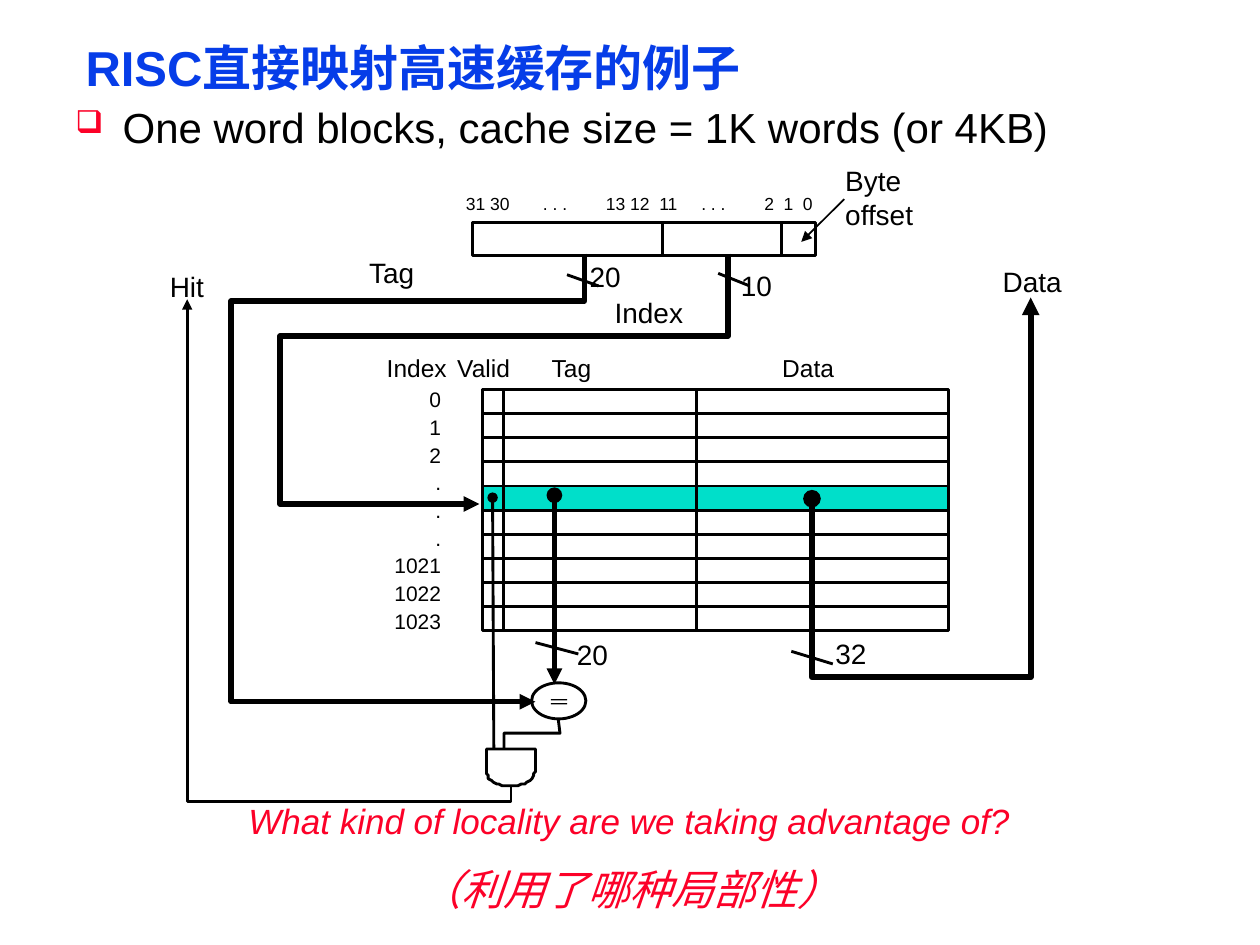
from math import cos, pi, sin

from lxml.etree import SubElement
from pptx import Presentation
from pptx.dml.color import RGBColor
from pptx.enum.shapes import MSO_CONNECTOR, MSO_SHAPE
from pptx.enum.text import MSO_ANCHOR, MSO_AUTO_SIZE, PP_ALIGN
from pptx.oxml.ns import qn
from pptx.util import Pt

BLACK = RGBColor(0x00, 0x00, 0x00)
BLUE = RGBColor(0x06, 0x3D, 0xE8)
RED = RGBColor(0xFC, 0x01, 0x28)
TEAL = RGBColor(0x00, 0xDF, 0xCA)
THIN = 1.63
THICK = 3

CACHE_LEFT, CACHE_TOP = 275.8, 222.5
CACHE_WIDTH, ROW_HEIGHT, ROW_COUNT = 266.4, 13.8, 10
SELECTED_ROW = 4


def add_text(slide, box, paragraphs, size, color=BLACK, wrap=False, grow=True,
             align=PP_ALIGN.LEFT, spacing=None, bold=False, italic=False):
    frame = slide.shapes.add_textbox(*map(Pt, box)).text_frame
    frame.word_wrap = wrap
    frame.auto_size = MSO_AUTO_SIZE.SHAPE_TO_FIT_TEXT if grow else MSO_AUTO_SIZE.NONE
    for position, content in enumerate(paragraphs):
        paragraph = frame.add_paragraph() if position else frame.paragraphs[0]
        paragraph.alignment = align
        paragraph.line_spacing = spacing
        run = paragraph.add_run()
        run.text = content
        font = run.font
        font.name, font.size = "Arial", Pt(size)
        font.bold, font.italic = bold, italic
        font.color.rgb = color
    return frame


def add_label(slide, left, top, content, width, size=16):
    add_text(slide, (left, top, width, size * 1.2 + 7.2), [content], size)


def style_line(line, width, head=None, tail=None):
    line.color.rgb = BLACK
    line.width = Pt(width)
    outline = line._get_or_add_ln()
    for tag, kind in (("a:headEnd", head), ("a:tailEnd", tail)):
        if kind:
            SubElement(outline, qn(tag), type=kind)


def add_line(slide, start, end, width=THIN, head=None, tail=None):
    connector = slide.shapes.add_connector(
        MSO_CONNECTOR.STRAIGHT, *map(Pt, (*start, *end)))
    style_line(connector.line, width, head, tail)
    SubElement(connector._element.spPr, qn("a:effectLst"))


def add_outline(slide, points, width=THIN, head=None, tail=None, closed=False):
    builder = slide.shapes.build_freeform(*points[0], scale=Pt(1))
    builder.add_line_segments(points[1:], close=closed)
    outline = builder.convert_to_shape()
    outline.shadow.inherit = False
    outline.fill.background()
    style_line(outline.line, width, head, tail)


def add_block(slide, kind, box, fill=None, border=None):
    block = slide.shapes.add_shape(kind, *map(Pt, box))
    block.shadow.inherit = False
    if fill is None:
        block.fill.background()
    else:
        block.fill.solid()
        block.fill.fore_color.rgb = fill
    if border:
        style_line(block.line, border)
    else:
        block.line.fill.background()


def add_headings(slide):
    title = add_text(slide, (41.8, 22.3, 642, 36.7), ["RISC直接映射高速缓存的例子"],
                     28, BLUE, wrap=True, grow=False, spacing=0.87, bold=True)
    title.vertical_anchor = MSO_ANCHOR.MIDDLE

    body = add_text(slide, (36, 59.8, 635.8, 53.3),
                    ["One word blocks, cache size = 1K words (or 4KB)"],
                    24, wrap=True, grow=False, spacing=0.8)
    properties = body.paragraphs[0]._p.get_or_add_pPr()
    properties.set("marL", str(Pt(27)))
    properties.set("indent", str(Pt(-27)))
    bullet_color = SubElement(properties, qn("a:buClr"))
    SubElement(bullet_color, qn("a:srgbClr"), val=str(RED))
    SubElement(properties, qn("a:buSzPct"), val="75000")
    SubElement(properties, qn("a:buChar"), char="❑")


def add_question(slide):
    question = add_text(slide, (41.8, 455.8, 635.8, 90),
                        ["What kind of locality are we taking advantage of?",
                         "（利用了哪种局部性）"],
                        20, RED, wrap=True, grow=False, align=PP_ALIGN.CENTER,
                        spacing=0.9, italic=True)
    translation = question.paragraphs[1]
    translation.space_before = Pt(16)
    translation.runs[0].font.size = Pt(24)


def add_address(slide):
    add_block(slide, MSO_SHAPE.RECTANGLE, (270, 126.9, 196.2, 18.9), border=THIN)
    for divider in (378.4, 446.4):
        add_line(slide, (divider, 126.9), (divider, 145.8))
    bits = add_text(slide, (259.2, 106.6, 223.2, 19.4),
                    ["31 30\t. . .\t13 12\t11\t. . .\t2\t1\t0"], 10, wrap=True)
    tabs = SubElement(bits.paragraphs[0]._p.get_or_add_pPr(), qn("a:tabLst"))
    for stop in (44, 80, 110.5, 134.5, 170.5, 181.5, 192.5):
        SubElement(tabs, qn("a:tab"), pos=str(Pt(stop)), algn="l")
    add_text(slide, (475.9, 90, 66.2, 46), ["Byte offset"], 16, wrap=True)
    add_line(slide, (482.4, 113.8), (457.9, 138.2), 1, tail="triangle")


def add_cache(slide):
    right = CACHE_LEFT + CACHE_WIDTH
    bottom = CACHE_TOP + ROW_COUNT * ROW_HEIGHT
    add_block(slide, MSO_SHAPE.RECTANGLE,
              (CACHE_LEFT, CACHE_TOP + SELECTED_ROW * ROW_HEIGHT,
               CACHE_WIDTH, ROW_HEIGHT), fill=TEAL)
    add_block(slide, MSO_SHAPE.RECTANGLE,
              (CACHE_LEFT, CACHE_TOP, CACHE_WIDTH, bottom - CACHE_TOP), border=THIN)
    for row in range(1, ROW_COUNT):
        y = CACHE_TOP + row * ROW_HEIGHT
        add_line(slide, (CACHE_LEFT, y), (right, y))
    for divider in (287.6, 398.2):
        add_line(slide, (divider, CACHE_TOP), (divider, bottom))

    for left, heading, width in ((213.9, "Index", 48.6), (254.2, "Valid", 45.4),
                                 (308.2, "Tag", 38.2), (439.9, "Data", 43.9)):
        add_label(slide, left, 198, heading, width, 14)
    add_text(slide, (218.2, 216, 41, 150.5),
             ["0", "1", "2", ".", ".", ".", "1021", "1022", "1023"],
             12, align=PP_ALIGN.RIGHT, spacing=1.1)


def add_wiring(slide):
    add_outline(slide, [(334.4, 144.7), (334.4, 172.1), (131.8, 172.1),
                        (131.8, 401), (306, 401)], THICK, tail="triangle")
    add_outline(slide, [(416.2, 145.4), (416.2, 191.5), (159.8, 191.5),
                        (159.8, 288), (274.3, 288)], THICK, tail="triangle")
    add_outline(slide, [(464.4, 285.1), (464.4, 387.4), (589, 387.4),
                        (589, 169.9)], 3.38, head="oval", tail="triangle")
    add_line(slide, (316.8, 283), (316.8, 391), THICK, "oval", "triangle")
    add_line(slide, (281.5, 284.4), (282.2, 427.7), head="oval")
    for start, end in (((324, 157), (342, 163.4)), ((410.4, 156.2), (428.4, 163.4)),
                       ((306, 367.2), (330.5, 373.7)), ((452.2, 372.2), (475.9, 379.4))):
        add_line(slide, start, end)

    for left, top, name, width in (
            (329.8, 144.7, "20", 32.4), (416.2, 149.8, "10", 32.4),
            (322.6, 360.7, "20", 32.4), (470.2, 360, "32", 32.4),
            (203.8, 142.6, "Tag", 41.8), (344.2, 165.6, "Index", 53.3),
            (565.9, 147.6, "Data", 48.2), (90, 150.5, "Hit", 33.8)):
        add_label(slide, left, top, name, width)


def add_hit_logic(slide):
    add_block(slide, MSO_SHAPE.OVAL, (303.8, 390.2, 31, 20.6), border=THIN)
    for bar_top in (399.5, 401.8):
        add_block(slide, MSO_SHAPE.RECTANGLE, (314.8, bar_top, 9.3, 0.8), BLACK)
    add_outline(slide, [(319, 411.1), (319.5, 419.2), (288, 419.2), (288, 427.8)])

    center, shoulder, radius_x, radius_y = 291.7, 440.8, 13.8, 8.6
    arc = [(center + radius_x * cos(step * pi / 20),
            shoulder + radius_y * sin(step * pi / 20)) for step in range(21)]
    gate_top = [(center - radius_x, 428.3), (center + radius_x, 428.3)]
    add_outline(slide, gate_top + arc, closed=True)
    add_outline(slide, [(center, 449.4), (center, 457.9), (107.2, 457.9),
                        (107.2, 170.6)], tail="triangle")


def main():
    presentation = Presentation()
    presentation.slide_width, presentation.slide_height = Pt(720), Pt(540)
    slide = presentation.slides.add_slide(presentation.slide_layouts[6])
    add_headings(slide)
    add_address(slide)
    add_cache(slide)
    add_wiring(slide)
    add_hit_logic(slide)
    add_question(slide)
    presentation.save("out.pptx")


main()
